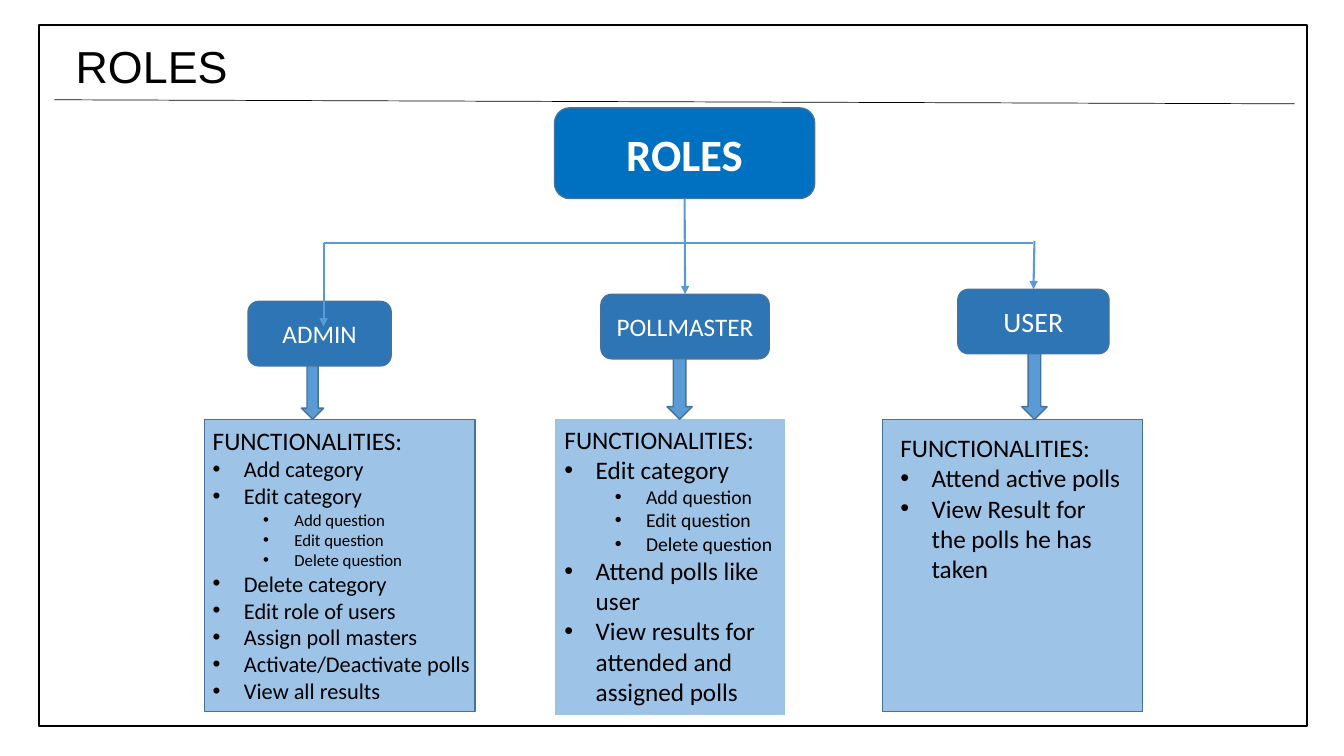
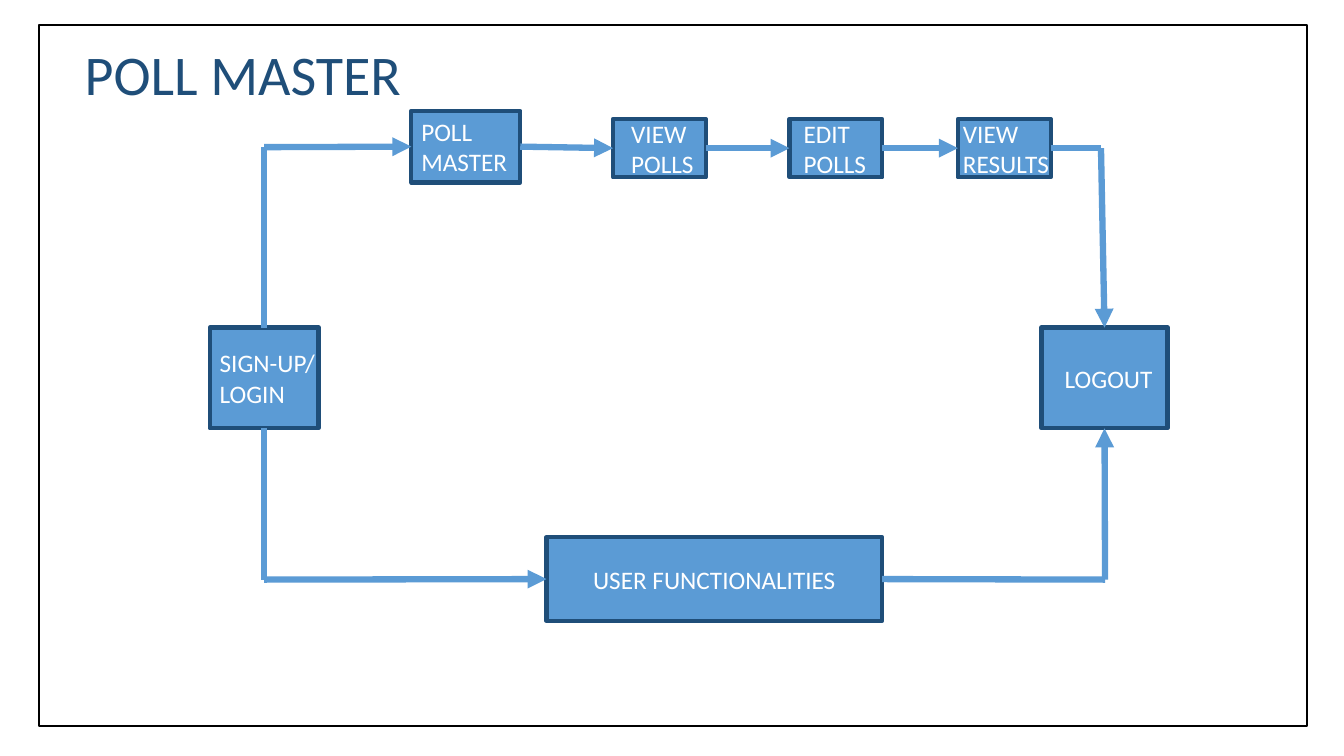
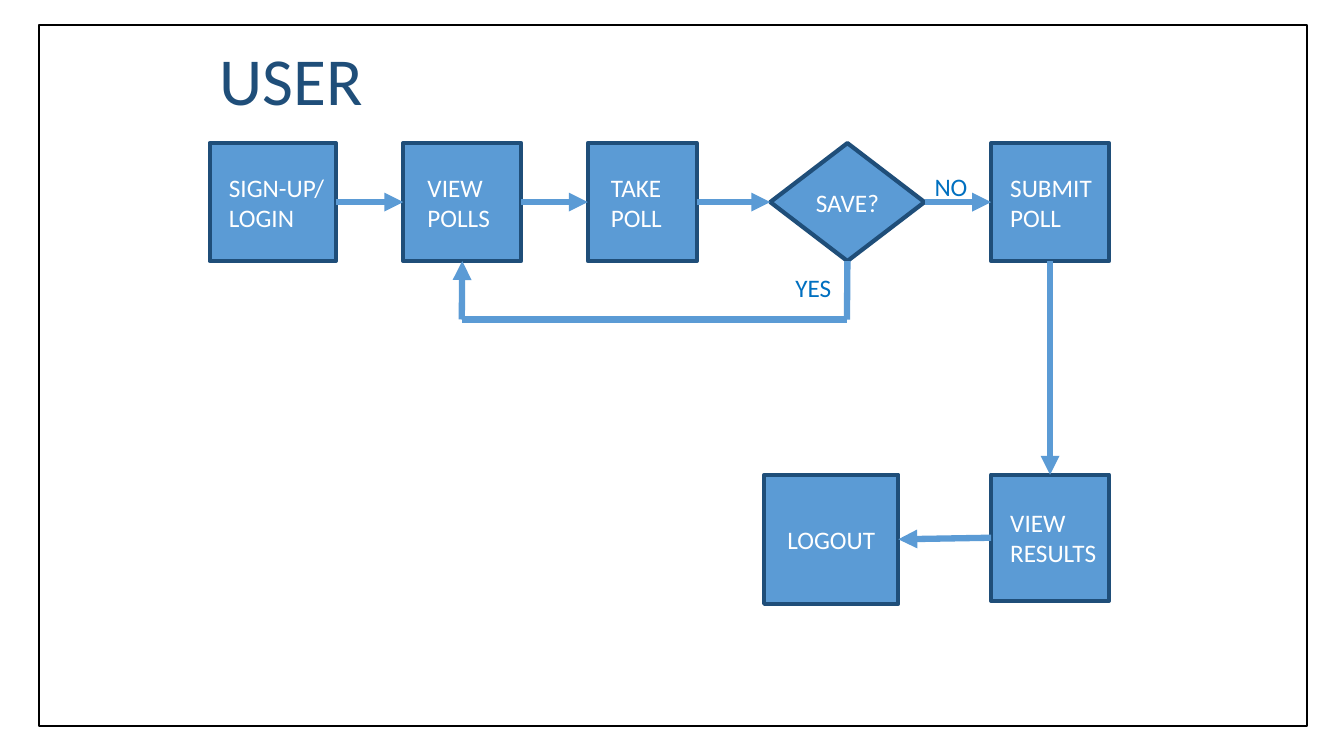
"""Build three slides on the roles of a polling system."""
import lxml.etree
import pptx
import pptx.dml.color
import pptx.enum.shapes
import pptx.enum.text
import pptx.oxml.ns
import pptx.shapes.autoshape
import pptx.util

Inches = pptx.util.Inches
Pt = pptx.util.Pt
RGBColor = pptx.dml.color.RGBColor
KIND = pptx.enum.shapes.MSO_SHAPE
ALIGN = pptx.enum.text.PP_ALIGN
ANCHOR = pptx.enum.text.MSO_ANCHOR
qn = pptx.oxml.ns.qn

BLACK = RGBColor(0x00, 0x00, 0x00)
WHITE = RGBColor(0xFF, 0xFF, 0xFF)
ROYAL = RGBColor(0x00, 0x70, 0xC0)
STEEL = RGBColor(0x2E, 0x75, 0xB6)
SKY = RGBColor(0x5B, 0x9B, 0xD5)
PALE = RGBColor(0x9D, 0xC3, 0xE6)
EDGE = RGBColor(0x43, 0x73, 0x9E)
NAVY = RGBColor(0x1F, 0x4E, 0x79)
FONT = "Calibri"
TOP, LEFT, BASE, RIGHT = range(4)


def write(para, text, size, color, font=FONT, bold=False):
    """Add one formatted run to a paragraph."""
    run = para.add_run()
    run.text = text
    run.font.name = font
    run.font.size = Pt(size)
    run.font.bold = bold
    run.font.color.rgb = color


def pad(frame, left, top, right, base):
    """Set the four insets of a text frame."""
    frame.margin_left, frame.margin_top = Inches(left), Inches(top)
    frame.margin_right, frame.margin_bottom = Inches(right), Inches(base)


def shape(slide, kind, box, fill=None, line=None, width=1):
    """Add a flat preset shape with optional fill and line."""
    item = slide.shapes.add_shape(kind, *map(Inches, box))
    item.shadow.inherit = False
    if fill is None:
        item.fill.background()
    else:
        item.fill.solid()
        item.fill.fore_color.rgb = fill
    if line is None:
        item.line.fill.background()
    else:
        item.line.color.rgb = line
        item.line.width = Pt(width)
    item.text_frame.word_wrap = True
    return item


def link(slide, start, end, width, head=True, color=SKY):
    """Draw a straight line between points or (shape, side) pairs."""
    line = slide.shapes.add_connector(
        pptx.enum.shapes.MSO_CONNECTOR.STRAIGHT, 0, 0, 0, 0)
    if isinstance(start[0], pptx.shapes.autoshape.Shape):
        line.begin_connect(*start)
    else:
        line.begin_x, line.begin_y = map(Inches, start)
    if isinstance(end[0], pptx.shapes.autoshape.Shape):
        line.end_connect(*end)
    else:
        line.end_x, line.end_y = map(Inches, end)
    line.line.color.rgb = color
    line.line.width = Pt(width)
    if head:
        stroke = line.line._get_or_add_ln()
        lxml.etree.SubElement(stroke, qn("a:tailEnd"), type="triangle")
    props = line.element.find(qn("p:spPr"))
    lxml.etree.SubElement(props, qn("a:effectLst"))


def start(deck, text, box, size, color, font=FONT):
    """Add a slide and place its title."""
    slide = deck.slides.add_slide(deck.slide_layouts[5])
    title = slide.shapes.title
    title.left, title.top, title.width, title.height = map(Inches, box)
    frame = title.text_frame
    frame.auto_size = pptx.enum.text.MSO_AUTO_SIZE.NONE
    frame.vertical_anchor = ANCHOR.TOP
    pad(frame, 0.1, 0.05, 0.1, 0.05)
    para = frame.paragraphs[0]
    para.alignment = ALIGN.LEFT
    write(para, text, size, color, font)
    return slide


def border(deck, slide):
    """Put the black frame on the master."""
    frame = shape(slide, KIND.FLOWCHART_PROCESS,
                  (0.39, 0.25, 12.57, 6.95), None, BLACK, 1.5)
    deck.slide_master.shapes.element.append(frame.element)


def tag(slide, box, text, size, fill, bold=False):
    """Add a rounded box with a centred name."""
    item = shape(slide, KIND.FLOWCHART_ALTERNATE_PROCESS, box, fill, EDGE)
    item.text_frame.vertical_anchor = ANCHOR.MIDDLE
    pad(item.text_frame, 0, 0, 0, 0)
    para = item.text_frame.paragraphs[0]
    para.alignment = ALIGN.CENTER
    write(para, text, size, WHITE, bold=bold)
    return item


def panel(slide, box, line, inset, sizes, items):
    """Add a list of functions, with a heading and two bullet levels."""
    frame = shape(slide, KIND.FLOWCHART_PROCESS, box, PALE, line).text_frame
    frame.vertical_anchor = ANCHOR.TOP
    pad(frame, *inset, 0)
    para = frame.paragraphs[0]
    para.alignment = ALIGN.LEFT
    write(para, "FUNCTIONALITIES:", 18, BLACK)
    for level, text in items:
        para = frame.add_paragraph()
        para.alignment = ALIGN.LEFT
        para.level = level
        props = para._p.get_or_add_pPr()
        props.set("marL", str(Inches(0.31 + 0.5 * level)))
        props.set("indent", str(Inches(-0.31)))
        lxml.etree.SubElement(props, qn("a:buFont"), typeface="Arial")
        lxml.etree.SubElement(props, qn("a:buChar"), char="•")
        write(para, text, sizes[level], BLACK)


def role(slide, box, name, size, place, mid, line, inset, sizes, items):
    """Add a column: name tag, block arrow and panel in the given box."""
    left, top = box[:2]
    shift, rise, width, thick = place
    high = 0.64
    item = tag(slide, (left + shift, top - rise, width, high),
               name, size, STEEL)
    panel(slide, box, line, inset, sizes, items)
    shape(slide, KIND.DOWN_ARROW,
          (left + mid - thick / 2, top - rise + high, thick, rise - high),
          SKY, EDGE)
    return item


def roles(deck):
    """Build the slide with the tree of roles."""
    slide = start(deck, "ROLES", (0.65, 0.33, 3.35, 0.64), 32, BLACK, "Arial")
    border(deck, slide)
    link(slide, (0.54, 0.99), (12.84, 1.03), 0.5, False, BLACK)
    root = tag(slide, (5.5, 1.07, 2.58, 0.9), "ROLES", 32, ROYAL, True)
    asks = [(1, "Add question"), (1, "Edit question"), (1, "Delete question")]
    role(slide, (2.03, 4.16, 2.68, 2.9), "ADMIN", 18,
         (0.43, 1.17, 1.42, 0.22), 1.07, EDGE, (0.08, 0.06, 0), (16, 12),
         [(0, "Add category"), (0, "Edit category"), *asks,
          (0, "Delete category"), (0, "Edit role of users"),
          (0, "Assign poll masters"), (0, "Activate/Deactivate polls"),
          (0, "View all results")])
    master = role(slide, (5.5, 4.16, 2.29, 2.93), "POLLMASTER", 18,
                  (0.46, 1.24, 1.67, 0.25), 1.24, None, (0.1, 0.05, 0.1),
                  (18, 14),
                  [(0, "Edit category"), *asks, (0, "Attend polls like user"),
                   (0, "View results for attended and assigned polls")])
    user = role(slide, (8.75, 4.16, 2.58, 2.9), "USER", 20,
                (0.75, 1.29, 1.5, 0.25), 1.51, EDGE, (0.18, 0.13, 0.18),
                (18, 14),
                [(0, "Attend active polls"),
                 (0, "View Result for the polls he has taken")])
    link(slide, (root, BASE), (master, TOP), 1.5)
    link(slide, (3.21, 2.41), (10.25, 2.41), 1.5, False)
    link(slide, (3.21, 2.41), (3.21, 3.24), 1.5)
    link(slide, (10.26, 2.39), (user, TOP), 1.5)


def node(slide, box, lines, inset=None, kind=KIND.FLOWCHART_PROCESS):
    """Add a flow step; without an inset its text is centred."""
    item = shape(slide, kind, box, SKY, NAVY, 3)
    frame = item.text_frame
    frame.vertical_anchor = ANCHOR.MIDDLE
    frame.word_wrap = inset is not None
    pad(frame, inset or 0, 0, 0, 0)
    for count, text in enumerate(lines):
        para = frame.add_paragraph() if count else frame.paragraphs[0]
        para.alignment = ALIGN.CENTER if inset is None else ALIGN.LEFT
        write(para, text, 18, WHITE)
    return item


def trail(slide, *stops):
    """Draw a bent route through the stops, with a head on the last leg."""
    for count in range(1, len(stops)):
        link(slide, stops[count - 1], stops[count], 4.5,
             count == len(stops) - 1)


def label(slide, box, text):
    """Add a small blue note beside an arrow."""
    note = slide.shapes.add_textbox(*map(Inches, box))
    note.text_frame.word_wrap = True
    write(note.text_frame.paragraphs[0], text, 18, ROYAL)


def master(deck):
    """Build the flow of the poll master."""
    slide = start(deck, "POLL MASTER", (0.74, 0.34, 9.44, 0.77), 40, NAVY)
    login = node(slide, (2.08, 3.25, 1.08, 1), ["SIGN-UP/", "LOGIN"], 0.1)
    steps = [node(slide, (4.08, 1.1, 1.08, 0.71), ["POLL MASTER"], 0.1)]
    for left, text, inset in ((6.08, "VIEW POLLS", 0.18),
                              (7.83, "EDIT POLLS", 0.14),
                              (9.5, "VIEW RESULTS", 0.05)):
        steps.append(node(slide, (left, 1.18, 0.92, 0.58), [text], inset))
    tasks = node(slide, (5.42, 5.33, 3.33, 0.83), ["USER FUNCTIONALITIES"])
    leave = node(slide, (10.33, 3.25, 1.25, 1), ["LOGOUT"], 0.23)
    trail(slide, (login, TOP), (2.62, 1.46), (steps[0], LEFT))
    for one, two in zip(steps, steps[1:]):
        trail(slide, (one, RIGHT), (two, LEFT))
    trail(slide, (steps[-1], RIGHT), (10.92, 1.47), (leave, TOP))
    trail(slide, (login, BASE), (2.62, 5.75), (tasks, LEFT))
    trail(slide, (tasks, RIGHT), (10.96, 5.75), (leave, BASE))


def user(deck):
    """Build the flow of the user."""
    slide = start(deck, "USER", (2.08, 0.33, 7.17, 0.91), 48, NAVY)
    steps = []
    for left, width, lines, inset, kind in (
            (2.08, 1.25, ["SIGN-UP/", "LOGIN"], 0.19, KIND.FLOWCHART_PROCESS),
            (4, 1.17, ["VIEW POLLS"], 0.24, KIND.FLOWCHART_PROCESS),
            (5.83, 1.08, ["TAKE POLL"], 0.23, KIND.FLOWCHART_PROCESS),
            (7.64, 1.53, ["SAVE?"], None, KIND.FLOWCHART_DECISION),
            (9.83, 1.17, ["SUBMIT POLL"], 0.19, KIND.FLOWCHART_PROCESS)):
        steps.append(node(slide, (left, 1.42, width, 1.17),
                          lines, inset, kind))
    view, save, send = steps[1], steps[3], steps[4]
    seen = node(slide, (9.83, 4.71, 1.17, 1.25), ["VIEW RESULTS"], 0.19)
    leave = node(slide, (7.58, 4.71, 1.33, 1.28), ["LOGOUT"], 0.23)
    for one, two in zip(steps, steps[1:]):
        trail(slide, (one, RIGHT), (two, LEFT))
    trail(slide, (save, BASE), (8.4, 3.17), (4.58, 3.17), (view, BASE))
    trail(slide, (send, BASE), (seen, TOP))
    trail(slide, (seen, LEFT), (leave, RIGHT))
    label(slide, (9.17, 1.65, 0.58, 0.4), "NO")
    label(slide, (7.79, 2.65, 0.61, 0.4), "YES")


def main():
    """Build and save the deck."""
    deck = pptx.Presentation()
    deck.slide_width, deck.slide_height = Inches(13.33), Inches(7.5)
    roles(deck)
    master(deck)
    user(deck)
    deck.save("out.pptx")


if __name__ == "__main__":
    main()
